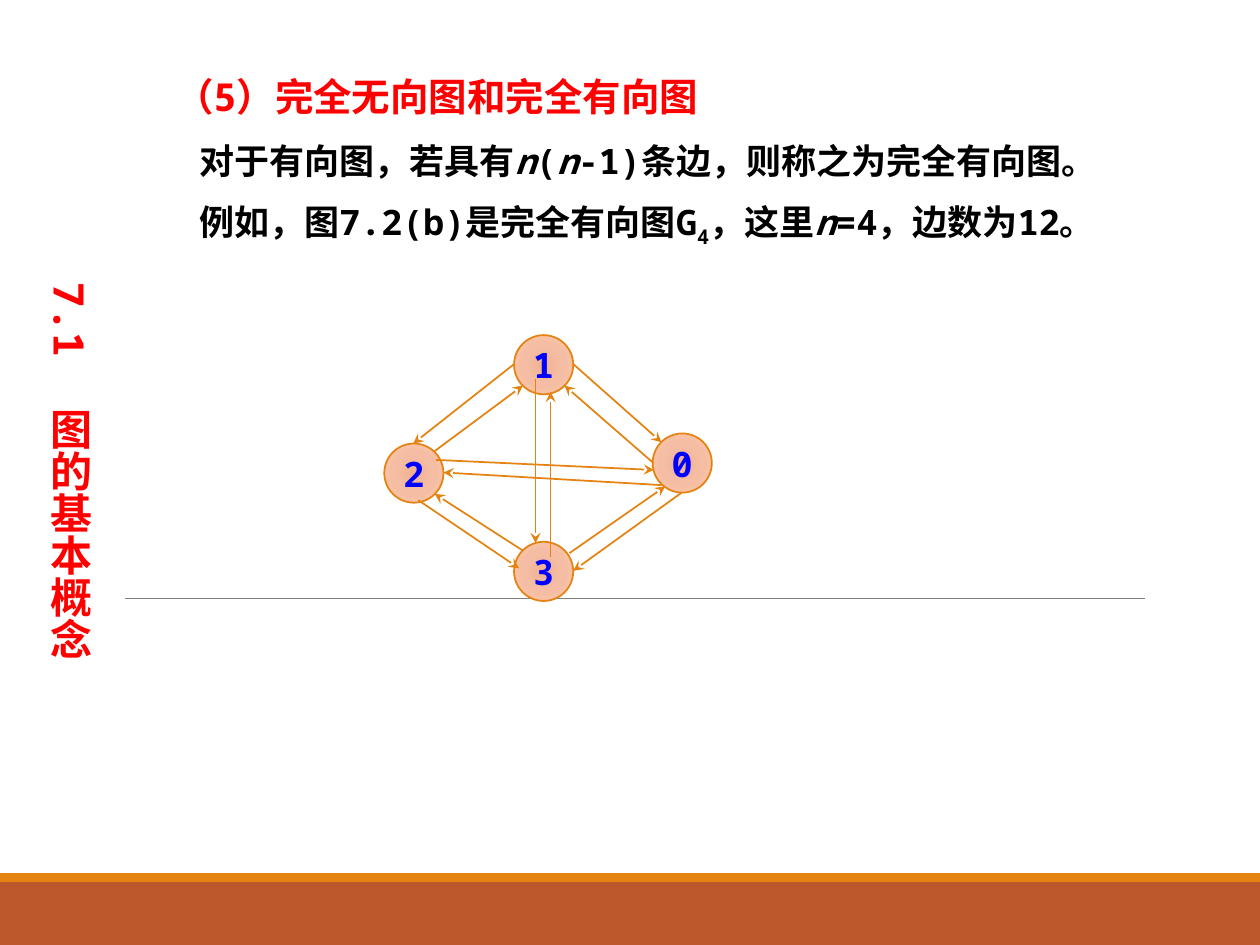
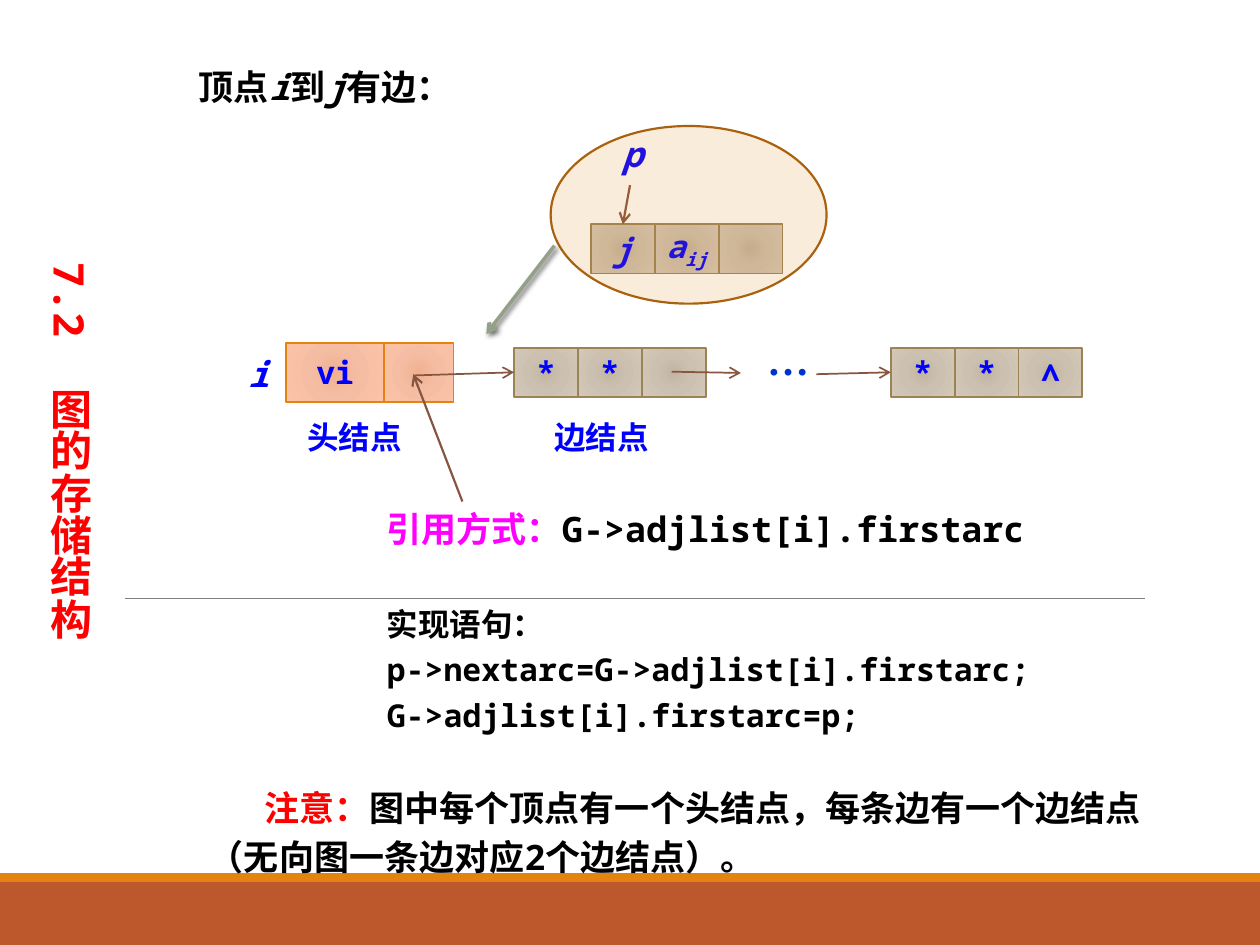
from lxml import etree
from pptx import Presentation, util as u
from pptx.dml.color import RGBColor
from pptx.enum import shapes, text
from pptx.oxml import parse_xml
from pptx.oxml.ns import nsdecls, qn

BLACK = RGBColor(0x00, 0x00, 0x00)
RED = RGBColor(0xFF, 0x00, 0x00)
BLUE = RGBColor(0x00, 0x00, 0xFF)
ROYAL = RGBColor(0x00, 0x33, 0xCC)
MAGENTA = RGBColor(0xFF, 0x00, 0xFF)
GREY = RGBColor(0x80, 0x80, 0x80)
ORANGE = RGBColor(0xE4, 0x83, 0x12)
RUST = RGBColor(0xBD, 0x58, 0x2C)
TAN = RGBColor(0x9B, 0x83, 0x57)
BROWN = RGBColor(0x86, 0x56, 0x40)
DARK_ORANGE = RGBColor(0xA9, 0x61, 0x0D)
SAGE = RGBColor(0x94, 0xA0, 0x88)
PEACH_GLOW = ((0, "F0B191"), (45, "F5BEA4"), (100, "FDC3A8"))
TAN_GLOW = ((0, "C2B5A2"), (45, "CCC1B1"), (100, "D4C8B8"))

MONO, HAN = "Noto Sans Mono", "Noto Sans CJK SC"
COLUMNS, ROWS = 100, 75
CELL = u.Inches(10) // COLUMNS
ITALIC = {"italic": True}
SUBSCRIPT = {"baseline": -25}
NODE = 4.7
EDGE_WIDTH, EDGE_HEIGHT = 5.07, 3.9


def grid(*counts):
    """Turn counts of grid cells into lengths."""
    return [u.Emu(round(count * CELL)) for count in counts]


def add_span(para, words, size=20, color=BLACK, font=MONO, italic=False,
             baseline=0, spacing=0):
    """Add one bold run in the given style."""
    span = para.add_run()
    span.text = words
    span.font.size = u.Pt(size)
    span.font.bold = True
    span.font.italic = italic
    span.font.color.rgb = color
    span.font.name = font
    properties = span.font._element
    etree.SubElement(properties, qn("a:ea")).set("typeface", HAN)
    if baseline:
        properties.set("baseline", str(baseline * 1000))
    if spacing:
        properties.set("spc", str(round(spacing * 100)))


def add_para(frame, spans, first=False, align=None, height=None, left=0,
             indent=0, **style):
    """Fill the first paragraph or a new one with spans."""
    para = frame.paragraphs[0] if first else frame.add_paragraph()
    properties = para._p.get_or_add_pPr()
    left, indent = grid(left, indent)
    properties.set("marL", str(left))
    properties.set("indent", str(indent))
    etree.SubElement(properties, qn("a:buNone"))
    para.space_before = u.Pt(0)
    para.alignment = align or text.PP_ALIGN.LEFT
    if height:
        para.line_spacing = u.Pt(height)
    for span in spans:
        words, change = (span, {}) if isinstance(span, str) else span
        add_span(para, words, **{**style, **change})


def prepare(box, place):
    """Place a text holder and give its frame plain settings."""
    box.left, box.top, box.width, box.height = grid(*place)
    frame = box.text_frame
    frame.word_wrap = True
    frame.auto_size = text.MSO_AUTO_SIZE.NONE
    frame.vertical_anchor = text.MSO_ANCHOR.TOP
    return frame


def add_label(page, place, spans, **style):
    """Add a text box with one paragraph."""
    box = page.shapes.add_textbox(*grid(*place))
    add_para(prepare(box, place), spans, first=True, **style)


def add_panel(page, kind, place, fill=None, line=None, weight=1):
    """Add a preset shape without a shadow."""
    shape = page.shapes.add_shape(kind, *grid(*place))
    shape.shadow.inherit = False
    if fill:
        shape.fill.solid()
        shape.fill.fore_color.rgb = fill
    if line:
        shape.line.color.rgb = line
        shape.line.width = u.Pt(weight)
    else:
        shape.line.fill.background()
    return shape


def add_node(page, kind, place, glow, line, spans=(), **style):
    """Add a glowing node with centred text."""
    node = add_panel(page, kind, place, line=line)
    stops = "".join(f'<a:gs pos="{share * 1000}"><a:srgbClr val="{color}"/></a:gs>'
                    for share, color in glow)
    node._element.spPr.insert(2, parse_xml(
        f'<a:gradFill {nsdecls("a")} rotWithShape="1"><a:gsLst>{stops}</a:gsLst>'
        '<a:path path="circle"><a:fillToRect l="100000" t="100000" '
        'r="100000" b="100000"/></a:path></a:gradFill>'))
    if spans:
        frame = node.text_frame
        frame.margin_left = frame.margin_right = 0
        frame.vertical_anchor = text.MSO_ANCHOR.MIDDLE
        add_para(frame, spans, first=True, align=text.PP_ALIGN.CENTER,
                 **{"color": BLUE, **style})
    return node


def add_line(page, ends, color, weight=1, head=None, target=None, side=1):
    """Add a straight line, with an arrowhead and a joined end if asked."""
    line = page.shapes.add_connector(shapes.MSO_CONNECTOR.STRAIGHT, *grid(*ends))
    line.line.color.rgb = color
    line.line.width = u.Pt(weight)
    if head:
        stroke = line.line._get_or_add_ln()
        etree.SubElement(stroke, qn("a:tailEnd")).set("type", head)
    if target is not None:
        line.end_connect(target, side)
    etree.SubElement(line._element.spPr, qn("a:effectLst"))
    return line


def add_shadow(line):
    """Give a connector a soft diagonal shadow."""
    effects = line._element.spPr.find(qn("a:effectLst"))
    effects.append(parse_xml(
        f'<a:outerShdw {nsdecls("a")} blurRad="{u.Pt(3)}" dist="{u.Pt(2)}" '
        'dir="2700000"><a:srgbClr val="000000"><a:alpha val="60000"/>'
        '</a:srgbClr></a:outerShdw>'))


def add_edge_record(page, left, top, fields, **style):
    """Add three adjoining cells that form an edge record."""
    return [add_node(page, shapes.MSO_SHAPE.RECTANGLE,
                     (left + EDGE_WIDTH * index, top, EDGE_WIDTH, EDGE_HEIGHT),
                     TAN_GLOW, TAN, spans, size=18, **style)
            for index, spans in enumerate(fields)]


def add_page(deck, number, name, top, align):
    """Add a page with its bands, rule and vertical section title."""
    page = deck.slides.add_slide(deck.slide_layouts[1])
    rectangle = shapes.MSO_SHAPE.RECTANGLE
    add_panel(page, rectangle, (0, 70, COLUMNS, 5), RUST)
    add_panel(page, rectangle, (0, 69.3, COLUMNS, 0.7), ORANGE)
    add_line(page, (9.9, 47.5, 90.9, 47.5), GREY, 0.5)
    frame = prepare(page.shapes.title, (2.5, top, 6.1, 34.4))
    frame._txBody.bodyPr.set("vert", "eaVert")
    add_para(frame, [number, (" ", {"spacing": 14.4}), name], first=True,
             align=align, size=24, color=RED)
    return page


def build_complete_graph(deck):
    """Build the page on complete graphs."""
    page = add_page(deck, "7.1", "图的基本概念", 21.9, text.PP_ALIGN.LEFT)
    frame = prepare(page.placeholders[1], (12.9, 3.1, 81.6, 16.7))
    add_para(frame, ["（5）完全无向图和完全有向图"], first=True, height=42,
             size=22, color=RED)
    add_para(frame, ["对于有向图，若具有", ("n", ITALIC), "(", ("n", ITALIC),
                     "-1)条边，则称之为完全有向图。"], height=36, left=1.9)
    add_para(frame, ["例如，图7.2(b)是完全有向图G", ("4", SUBSCRIPT), "，这里",
                     ("n", ITALIC), "=4，边数为12。"], height=38, left=1.9)
    vertices = {"1": (40.8, 26.6), "2": (30.5, 35.2),
                "3": (40.8, 43), "0": (51.8, 34.4)}
    for name, corner in vertices.items():
        add_node(page, shapes.MSO_SHAPE.OVAL, (*corner, NODE, NODE),
                 PEACH_GLOW, ORANGE, [name])
    arcs = [(45.5, 28.9, 52.5, 35.1), (51.8, 36.7, 44.8, 30.6),
            (40.8, 28.9, 32.8, 35.2), (34.5, 35.8, 41.5, 30.6),
            (33.2, 39.7, 41.2, 45.1), (41.5, 43.7, 34.5, 39.2),
            (45.2, 43.9, 52.8, 38.6), (54.1, 39.1, 45.5, 45.3),
            (34.6, 36.5, 51.9, 37.3), (52.5, 38.5, 35.2, 37.5),
            (42.5, 30.1, 42.5, 43.1), (43.7, 44.2, 43.7, 31.1)]
    for arc in arcs:
        add_line(page, arc, ORANGE, head="stealth")


def build_adjacency_list(deck):
    """Build the page on inserting an edge into an adjacency list."""
    page = add_page(deck, "7.2", "图的存储结构", 20.3, text.PP_ALIGN.CENTER)
    rectangle = shapes.MSO_SHAPE.RECTANGLE
    for left, name in ((23.4, "头结点"), (43, "边结点")):
        add_label(page, (left, 32.7, 13.3, 4), [name], size=18, color=BLUE, font=HAN)
    add_label(page, (15.6, 61.4, 80.5, 8.9), [
        ("注意：", {"color": RED}),
        "图中每个顶点有一个头结点，每条边有一个边结点（无向图一条边对应2个边结点）。",
    ], height=28, indent=4.4)

    add_node(page, rectangle, (22.7, 27.2, 7.8, NODE), PEACH_GLOW, ORANGE, ["vi"], size=18)
    add_node(page, rectangle, (30.5, 27.2, 5.5, NODE), PEACH_GLOW, ORANGE)
    first_edge = add_edge_record(page, 40.8, 27.6, (["*"], ["*"], []))
    last_edge = add_edge_record(page, 70.7, 27.6, (["*"], ["*"], ["∧"]))
    add_line(page, (32.8, 29.8, 40.8, 29.8), BROWN, head="arrow", target=first_edge[0])
    add_line(page, (53.3, 29.5, 58.8, 29.6), BROWN, head="arrow")
    add_line(page, (64.8, 29.7, 70.7, 29.7), BROWN, head="arrow", target=last_edge[0])
    add_label(page, (18.7, 27.5, 3.9, 4.4), ["i"], color=BLUE, italic=True)
    add_label(page, (59.9, 26, 6.3, 5), ["…"], size=24, color=ROYAL,
              font="Times New Roman")

    new_edge = add_edge_record(page, 46.9, 17.8, (["j"], ["a", ("ij", SUBSCRIPT)], []),
                               italic=True)
    add_line(page, (50, 14.7, 49.4, 17.8), BROWN, 1.25, "arrow", new_edge[0], 0)
    add_label(page, (48.4, 10, 4.7, 4.4), ["p"], color=BLUE, italic=True)
    halo = add_panel(page, shapes.MSO_SHAPE.OVAL, (43.7, 10, 21.9, 14.1),
                     ORANGE, DARK_ORANGE, 1.25)
    tint = halo._element.spPr.find(qn("a:solidFill"))[0]
    etree.SubElement(tint, qn("a:alpha")).set("val", "15000")
    add_shadow(add_line(page, (44, 19.5, 38.6, 26.5), SAGE, 2, "arrow"))

    add_label(page, (14.8, 4.7, 25.8, 4.4),
              ["顶点", ("i", ITALIC), "到", ("j", ITALIC), "有边："])
    frame = prepare(page.placeholders[1], (29.7, 46.9, 53.1, 11.9))
    statements = ["实现语句：", "p->nextarc=G->adjlist[i].firstarc;",
                  "G->adjlist[i].firstarc=p;"]
    for index, statement in enumerate(statements):
        add_para(frame, [statement], first=index == 0, height=26, size=18,
                 font=MONO if index else "Arial")
    add_label(page, (29.7, 39.8, 60.9, 4.4), [
        ("引用方式：", {"color": MAGENTA, "font": "Arial"}), "G->adjlist[i].firstarc"])
    add_line(page, (36.7, 39.8, 32.8, 29.7), BROWN, 1.25, "arrow")


def main():
    """Build and save the deck."""
    deck = Presentation()
    deck.slide_width, deck.slide_height = grid(COLUMNS, ROWS)
    build_complete_graph(deck)
    build_adjacency_list(deck)
    deck.save("out.pptx")


if __name__ == "__main__":
    main()
